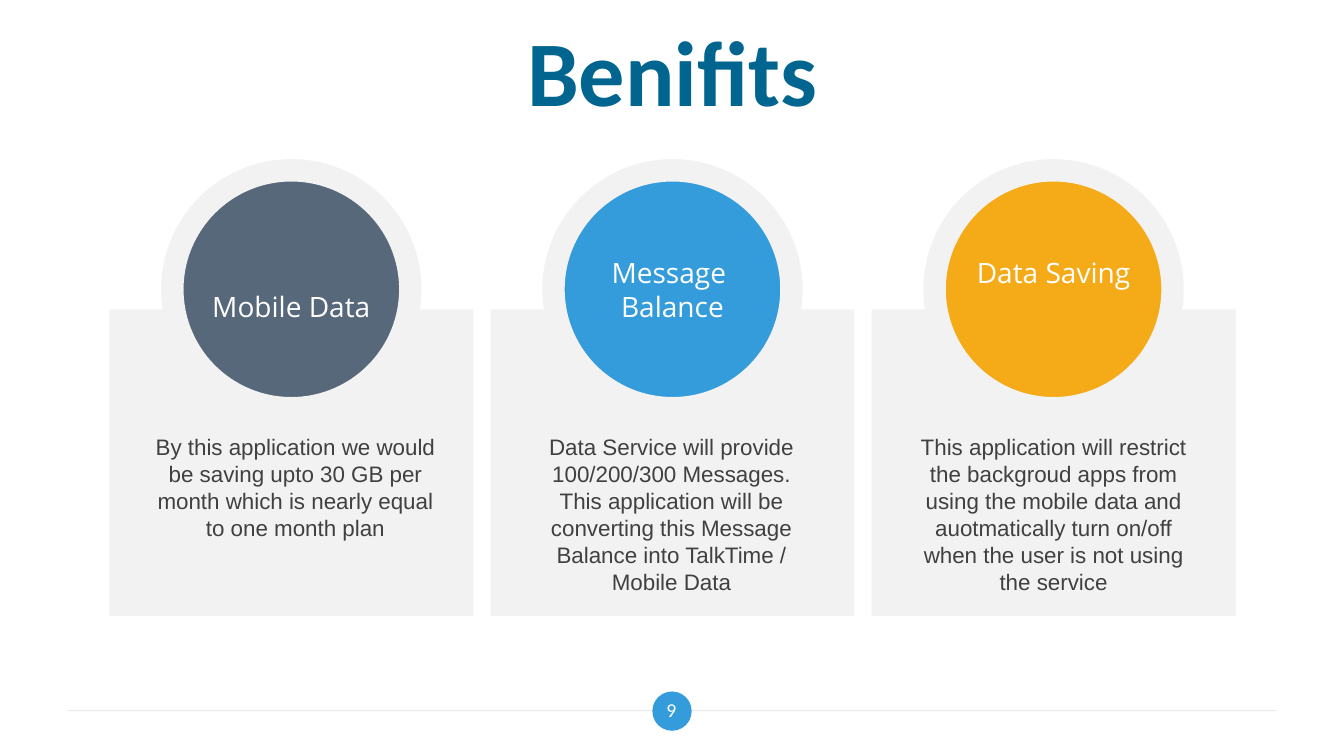
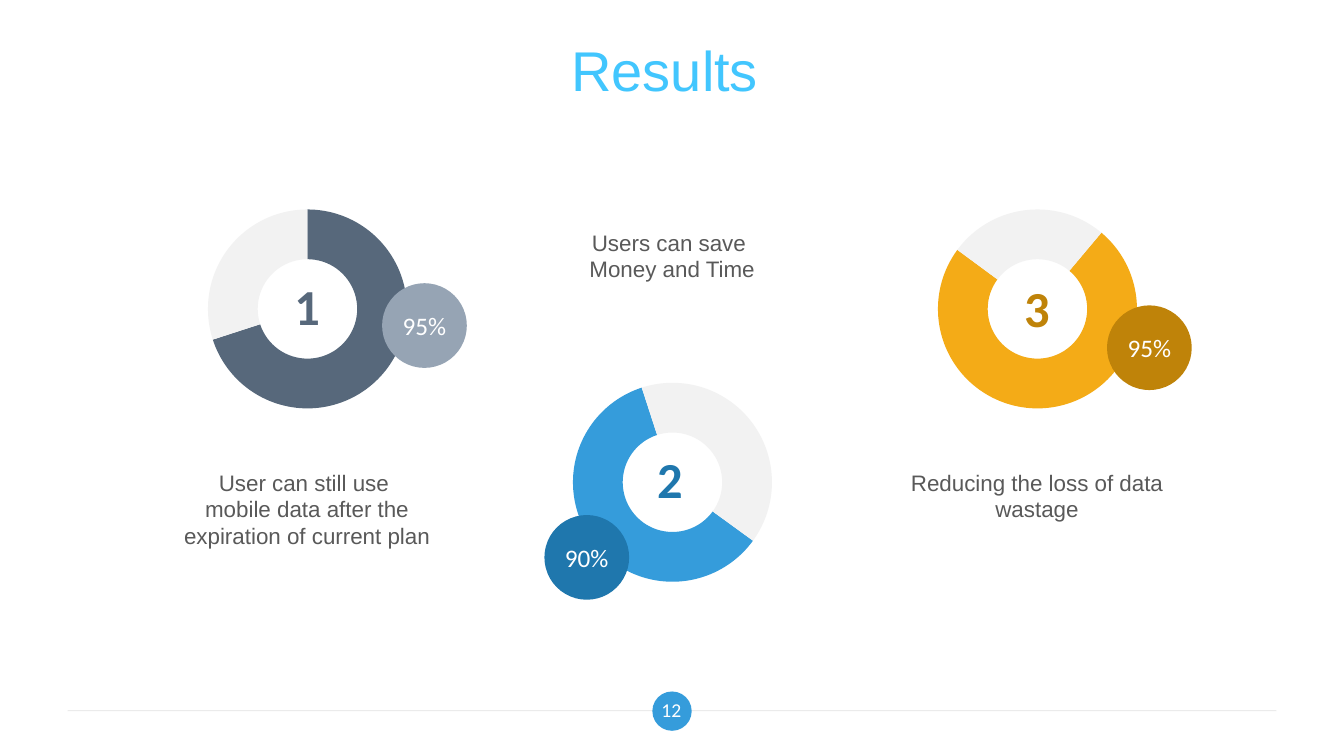
"""Build the Benifits and Results slides."""
from lxml.etree import SubElement
from pptx import Presentation
from pptx.chart.data import CategoryChartData
from pptx.dml.color import RGBColor
from pptx.enum.chart import XL_CHART_TYPE
from pptx.enum.shapes import MSO_CONNECTOR, MSO_SHAPE
from pptx.enum.text import MSO_ANCHOR, PP_ALIGN
from pptx.oxml.ns import qn
from pptx.util import Inches, Pt

WHITE = RGBColor(0xFF, 0xFF, 0xFF)
BLACK = RGBColor(0x00, 0x00, 0x00)
LIGHT = RGBColor(0xF2, 0xF2, 0xF2)
RULE = RGBColor(0xD9, 0xD9, 0xD9)
SLATE = RGBColor(0x57, 0x68, 0x7B)
SLATE_PALE = RGBColor(0x96, 0xA4, 0xB4)
BLUE = RGBColor(0x35, 0x9C, 0xDB)
BLUE_DARK = RGBColor(0x1F, 0x77, 0xAD)
AMBER = RGBColor(0xF4, 0xAB, 0x17)
AMBER_DARK = RGBColor(0xBF, 0x83, 0x09)
TEAL = RGBColor(0x01, 0x65, 0x90)
SKY = RGBColor(0x42, 0xC6, 0xFE)
INK = RGBColor(0x40, 0x40, 0x40)
GREY = RGBColor(0x59, 0x59, 0x59)

MID = 6.67
CARD_W, CARD_STEP = 3.61, 3.78
CHART_W, CHART_H, CHART_STEP = 3.38, 2.25, 3.62
BADGE = 0.84

BENIFITS_TITLE = dict(name="Calibri", size=Pt(66), bold=True, color=TEAL)
RESULTS_TITLE = dict(name="Arial", size=Pt(40), color=SKY)
PAGE = dict(name="Calibri", size=Pt(14), color=WHITE)
LABEL = dict(name="Open Sans", size=Pt(20), color=WHITE)
CARD_TEXT = dict(name="Arial", size=Pt(16), color=INK)
CAPTION = dict(name="Arial", size=Pt(16), color=GREY)
PERCENT = dict(name="Calibri", size=Pt(18), color=WHITE)
NUMBER = dict(name="Calibri", size=Pt(36), bold=True)
CHART_FONT = dict(name="Calibri", size=Pt(10), color=BLACK)

CARDS = [
    (SLATE, 2.82, ["Mobile Data"], 1.4,
     ["By this application we would be saving upto 30 GB per month "
      "which is nearly equal to one month plan"]),
    (BLUE, 2.49, ["Message ", "Balance"], 5.13,
     ["Data Service will provide 100/200/300 Messages.",
      "This application will be converting this Message Balance into "
      "TalkTime / Mobile Data"]),
    (AMBER, 2.49, ["Data Saving"], 8.92,
     ["This application will restrict the backgroud apps from using the "
      "mobile data and auotmatically turn on/off when the user is not "
      "using the service"]),
]

RESULTS = [
    dict(top=1.94, share=70, start=0, fill=SLATE, number_color=SLATE,
         number_at=(2.82, 2.67), badge=("95%", 3.79, 2.81, SLATE_PALE),
         caption_top=4.6,
         caption=["User can still use ",
                  "mobile data after the expiration of current plan"]),
    dict(top=3.66, share=60, start=126, fill=BLUE, number_color=BLUE_DARK,
         number_at=(6.42, 4.39), badge=("90%", 5.4, 5.11, BLUE_DARK),
         caption_top=2.22, caption=["Users can save ", "Money and Time"]),
    dict(top=1.94, share=74, start=40, fill=AMBER, number_color=AMBER_DARK,
         number_at=(10.06, 2.69), badge=("95%", 10.98, 3.03, AMBER_DARK),
         caption_top=4.6, caption=["Reducing the loss of data wastage"]),
]


def set_font(font, fmt):
    """Apply a dict of format values to a font."""
    for key, value in fmt.items():
        if key == "color":
            font.color.rgb = value
        else:
            setattr(font, key, value)


def write(tf, lines, fmt, anchor=MSO_ANCHOR.TOP, wrap=True, inset=(0.1, 0.05)):
    """Fill a text frame with centred paragraphs."""
    x, y = (Inches(v) for v in inset)
    frame = dict(word_wrap=wrap, vertical_anchor=anchor, margin_left=x,
                 margin_right=x, margin_top=y, margin_bottom=y)
    for key, value in frame.items():
        setattr(tf, key, value)
    for i, line in enumerate(lines):
        p = tf.paragraphs[0] if i == 0 else tf.add_paragraph()
        p.alignment = PP_ALIGN.CENTER
        r = p.add_run()
        r.text = line
        set_font(r.font, fmt)


def add_text(s, box, lines, fmt, **layout):
    """Add a text box."""
    sp = s.shapes.add_textbox(*(Inches(v) for v in box))
    write(sp.text_frame, lines, fmt, **layout)


def add_shape(s, kind, box, fill, line=None, width=0):
    """Add a flat filled shape."""
    sp = s.shapes.add_shape(kind, *(Inches(v) for v in box))
    sp.shadow.inherit = False
    sp.fill.solid()
    sp.fill.fore_color.rgb = fill
    if line is None:
        sp.line.fill.background()
    else:
        sp.line.color.rgb = line
        sp.line.width = Pt(width)
    return sp


def add_rule(s):
    """Add the half-transparent footer line."""
    ln = s.shapes.add_connector(MSO_CONNECTOR.STRAIGHT, Inches(0.67),
                                Inches(7.05), Inches(12.66), Inches(7.05))
    ln.line.color.rgb = RULE
    ln.line.width = Pt(0.75)
    color = next(ln.line._ln.iter(qn("a:srgbClr")))
    SubElement(color, qn("a:alpha"), val="50000")
    SubElement(ln._element.spPr, qn("a:effectLst"))


def add_base(prs, title, fmt, page):
    """Add a slide with its title and numbered footer."""
    s = prs.slides.add_slide(prs.slide_layouts[6])
    frame = dict(anchor=MSO_ANCHOR.MIDDLE, inset=(0.13, 0.07))
    add_rule(s)
    add_shape(s, MSO_SHAPE.OVAL, (6.47, 6.86, 0.39, 0.39), BLUE)
    add_text(s, (0.67, 0.3, 12, 0.78), [title], fmt, **frame)
    add_text(s, (6.38, 6.83, 0.56, 0.42), [page], PAGE, **frame)
    return s


def add_card(s, i, fill, label_top, label, text_left, text):
    """Add a card with its circle, label and text."""
    center = MID + (i - 1) * CARD_STEP
    add_shape(s, MSO_SHAPE.RECTANGLE,
              (center - CARD_W / 2, 3.07, CARD_W, 3.04), LIGHT)
    add_shape(s, MSO_SHAPE.OVAL, (center - 1.18, 1.69, 2.36, 2.36),
              fill, LIGHT, 16)
    add_text(s, (center - 0.95, label_top, 1.9, 0.44 * len(label)),
             label, LABEL, wrap=False)
    add_text(s, (text_left, 4.25, 3.06, 1.72), text, CARD_TEXT)


def add_doughnut(s, left, top, share, start, fill):
    """Add a two-part doughnut chart."""
    data = CategoryChartData()
    data.categories = ["1", "2"]
    data.add_series("Series 1", [share, 100 - share])
    box = (Inches(v) for v in (left, top, CHART_W, CHART_H))
    chart = s.shapes.add_chart(XL_CHART_TYPE.DOUGHNUT, *box, data).chart
    chart.has_legend = chart.has_title = False
    set_font(chart.font, CHART_FONT)
    plot = chart.plots[0]
    for i, color in enumerate((fill, LIGHT)):
        point = plot.series[0].points[i].format
        point.fill.solid()
        point.fill.fore_color.rgb = color
        point.line.fill.background()
    for tag, value in (("c:firstSliceAng", start), ("c:holeSize", 75)):
        plot._element.find(qn(tag)).set("val", str(value))


def add_result(s, i, item):
    """Add a result's caption, percentage badge and number."""
    center = MID + (i - 1) * CHART_STEP
    add_text(s, (center - 1.5, item["caption_top"], 2.99, 0.91),
             item["caption"], CAPTION)
    percent, x, y, fill = item["badge"]
    sp = add_shape(s, MSO_SHAPE.OVAL, (x, y, BADGE, BADGE), fill)
    write(sp.text_frame, [percent], PERCENT, MSO_ANCHOR.MIDDLE,
          inset=(0, 0.05))
    add_text(s, (*item["number_at"], 0.45, 0.71), [str(i + 1)],
             dict(NUMBER, color=item["number_color"]),
             anchor=MSO_ANCHOR.MIDDLE, wrap=False)


def main():
    """Build and save the presentation."""
    prs = Presentation()
    prs.slide_width, prs.slide_height = Inches(13.33), Inches(7.5)
    s = add_base(prs, "Benifits", BENIFITS_TITLE, "9")
    for i, card in enumerate(CARDS):
        add_card(s, i, *card)
    s = add_base(prs, "Results ", RESULTS_TITLE, "12")
    for i, item in enumerate(RESULTS):
        left = MID + (i - 1) * CHART_STEP - CHART_W / 2
        add_doughnut(s, left, item["top"], item["share"], item["start"],
                     item["fill"])
        add_result(s, i, item)
    prs.save("out.pptx")


if __name__ == "__main__":
    main()
